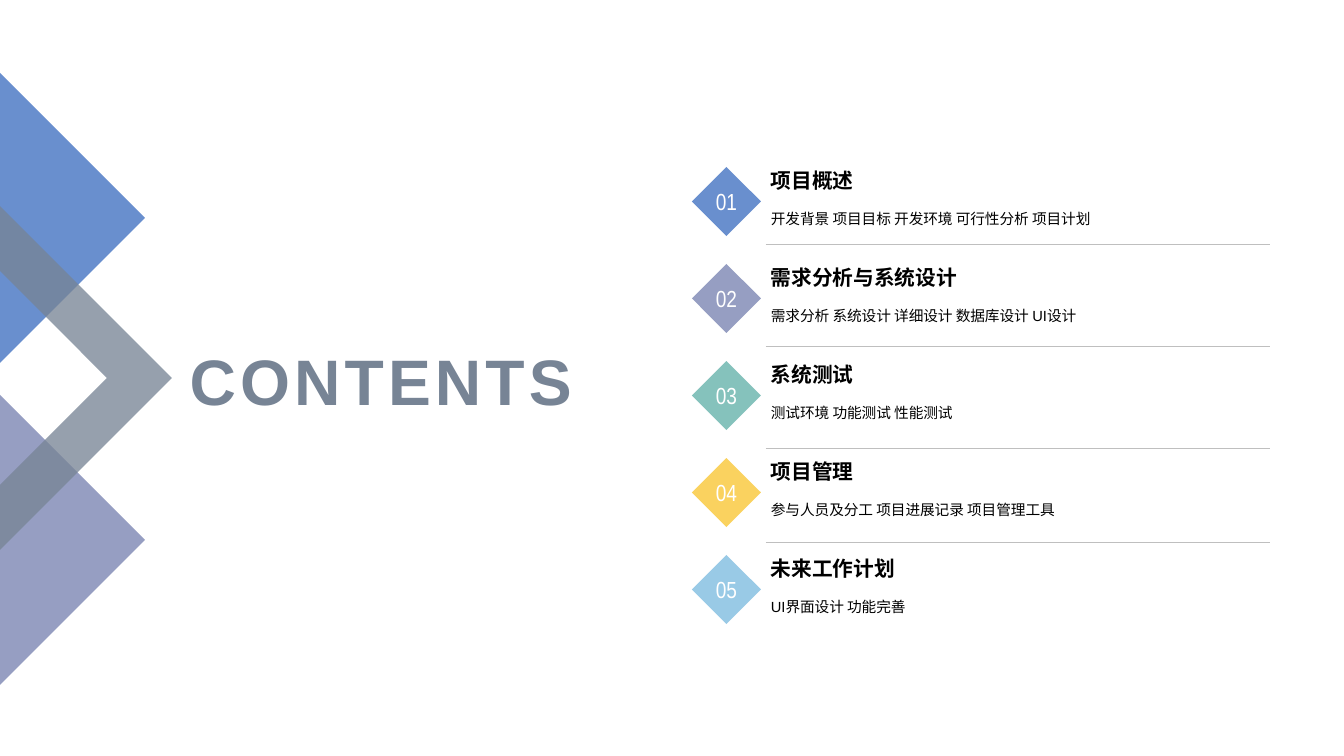
from lxml import etree
from pptx import Presentation
from pptx.dml.color import RGBColor
from pptx.enum.shapes import MSO_CONNECTOR, MSO_SHAPE
from pptx.enum.text import MSO_ANCHOR, PP_ALIGN
from pptx.oxml.ns import qn
from pptx.util import Pt

DIAMOND, STRAIGHT = MSO_SHAPE.DIAMOND, MSO_CONNECTOR.STRAIGHT
MIDDLE, BOTTOM = MSO_ANCHOR.MIDDLE, MSO_ANCHOR.BOTTOM
LEFT, CENTER, RIGHT = PP_ALIGN.LEFT, PP_ALIGN.CENTER, PP_ALIGN.RIGHT

# Content
COLORS = {
    "blue": "698FCE", "violet": "969EC2", "teal": "85C2BC",
    "yellow": "FAD25F", "sky": "99CAE6", "slate": "778495",
    "rule": "BFBFBF", "black": "000000", "white": "FFFFFF",
}
TITLE = "CONTENTS"
ITEMS = [
    ("blue", "项目概述", "开发背景 项目目标 开发环境 可行性分析 项目计划"),
    ("violet", "需求分析与系统设计", "需求分析 系统设计 详细设计 数据库设计 UI设计"),
    ("teal", "系统测试", "测试环境 功能测试 性能测试"),
    ("yellow", "项目管理", "参与人员及分工 项目进展记录 项目管理工具"),
    ("sky", "未来工作计划", "UI界面设计 功能完善"),
]
# Outline points in px, with opacity in percent
BANDS = [
    ("violet", 100, [(0, 395), (145, 540), (0, 685)]),
    ("blue", 100, [(0, 73), (145, 218), (0, 363)]),
    ("slate", 77, [(0, 206), (172, 378), (0, 550), (0, 485), (107, 378), (0, 271)]),
]
RULES = [244, 346, 448, 542]

# Layout in px
PX = 914400 / 100.8
TOP, PITCH = 167, 97
MARK_X, MARK = 692, 69
TEXT_X, TEXT_W = 761, 436
RULE_X, RULE_END = 766, 1270


def px(*nums):
    return [round(n * PX) for n in nums]


def rgb(name):
    return RGBColor.from_string(COLORS[name])


def paint(shape, name):
    shape.shadow.inherit = False
    shape.fill.solid()
    shape.fill.fore_color.rgb = rgb(name)
    shape.line.fill.background()


def write(shape, text, size, color, align=LEFT, anchor=MIDDLE,
          face="Arial", bold=False, wrap=False):
    frame = shape.text_frame
    frame.text = text
    frame.word_wrap = wrap
    frame.vertical_anchor = anchor
    para = frame.paragraphs[0]
    para.alignment = align
    font = para.runs[0].font
    font.name, font.size, font.bold = face, Pt(size), bold
    font.color.rgb = rgb(color)
    return para


deck = Presentation()
deck.slide_width, deck.slide_height = px(1344, 756)
slide = deck.slides.add_slide(deck.slide_layouts[6])
shapes = slide.shapes

# Bands at the left edge
for color, alpha, points in BANDS:
    pen = shapes.build_freeform(*points[0], scale=PX)
    pen.add_line_segments(points[1:], close=True)
    band = pen.convert_to_shape()
    paint(band, color)
    if alpha < 100:
        tint = band.fill._xPr.find(qn("a:solidFill"))[0]
        etree.SubElement(tint, qn("a:alpha")).set("val", str(alpha * 1000))

# Title
box = shapes.add_textbox(*px(170, 329, 412, 102))
para = write(box, TITLE, 45.9, "slate", RIGHT, bold=True, wrap=True)
para.runs[0].font._element.set("spc", "300")

# Numbered items
for i, (color, head, topics) in enumerate(ITEMS):
    y = TOP + i * PITCH
    mark = shapes.add_shape(DIAMOND, *px(MARK_X, y, MARK, MARK))
    paint(mark, color)
    write(mark, f"{i + 1:02}", 16.6, "white", CENTER, face="Arial Narrow")
    box = shapes.add_textbox(*px(TEXT_X, y - 2, TEXT_W, 33))
    write(box, head, 14.8, "black", anchor=BOTTOM, bold=True)
    box = shapes.add_textbox(*px(TEXT_X, y + 32, TEXT_W, 35))
    write(box, topics, 10.5, "black", wrap=True).line_spacing = 1.2

# Rules between items
for y in RULES:
    rule = shapes.add_connector(STRAIGHT, *px(RULE_X, y, RULE_END, y))
    rule.line.color.rgb = rgb("rule")
    rule.line.width = Pt(0.25)
    etree.SubElement(rule._element.spPr, qn("a:effectLst"))

deck.save("out.pptx")
